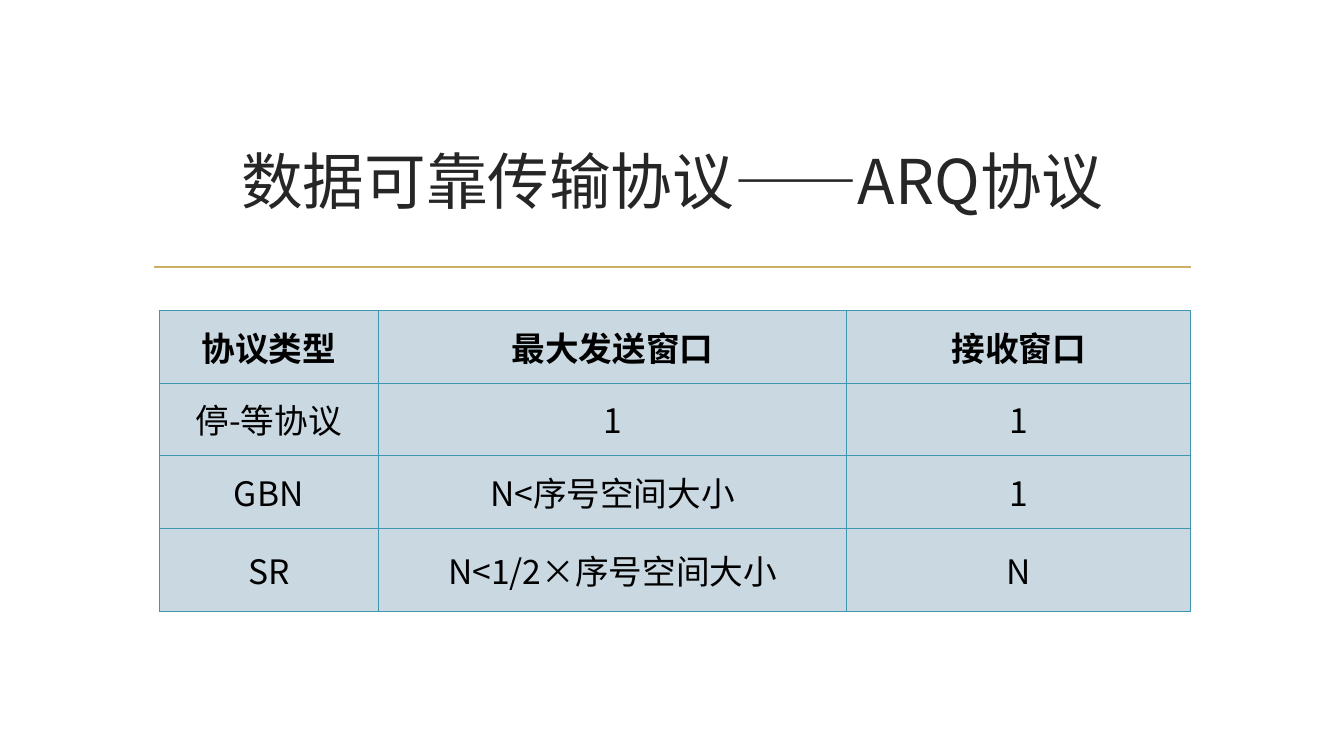
from lxml.etree import SubElement
from pptx import Presentation
from pptx.dml.color import RGBColor
from pptx.enum.shapes import MSO_CONNECTOR
from pptx.enum.text import MSO_ANCHOR, MSO_AUTO_SIZE, PP_ALIGN
from pptx.oxml.ns import qn
from pptx.util import Inches, Pt

TITLE = "数据可靠传输协议——ARQ协议"
PROTOCOLS = [
    ("协议类型", "最大发送窗口", "接收窗口"),
    ("停-等协议", "1", "1"),
    ("GBN", "N<序号空间大小", "1"),
    ("SR", "N<1/2×序号空间大小", "N"),
]
COLUMN_WIDTHS = (2.17, 4.65, 3.41)
ROW_HEIGHTS = (0.72, 0.72, 0.72, 0.83)

FONT = "Noto Sans CJK SC"
TITLE_COLOR = RGBColor(0x26, 0x26, 0x26)
TEXT_COLOR = RGBColor(0x00, 0x00, 0x00)
RULE_COLOR = RGBColor(0xCB, 0xAF, 0x62)
BORDER_COLOR = RGBColor(0x40, 0x96, 0xB0)
CELL_COLOR = RGBColor(0xC9, 0xD8, 0xE1)


def write_text(text_frame, text, size, color, bold=False):
    """Write one centred line of text in the slide font."""
    text_frame.vertical_anchor = MSO_ANCHOR.MIDDLE
    paragraph = text_frame.paragraphs[0]
    paragraph.alignment = PP_ALIGN.CENTER
    run = paragraph.add_run()
    run.text = text
    run.font.size = Pt(size)
    run.font.bold = bold
    run.font.color.rgb = color
    run.font.name = FONT
    SubElement(run.font._element, qn("a:ea"), typeface=FONT)


def add_borders(cell, color, width):
    """Draw a solid line on all four sides of a table cell."""
    properties = cell._tc.get_or_add_tcPr()
    for side in ("a:lnL", "a:lnR", "a:lnT", "a:lnB"):
        line = SubElement(properties, qn(side), w=str(Pt(width)))
        fill = SubElement(line, qn("a:solidFill"))
        SubElement(fill, qn("a:srgbClr"), val=str(color))


def add_title(slide):
    """Place the title and the rule below it."""
    title = slide.shapes.title
    title.left, title.top = Inches(1.42), Inches(1.07)
    title.width, title.height = Inches(10.5), Inches(1.43)
    title.text_frame.word_wrap = True
    title.text_frame.auto_size = MSO_AUTO_SIZE.NONE
    write_text(title.text_frame, TITLE, 44, TITLE_COLOR)
    rule = slide.shapes.add_connector(
        MSO_CONNECTOR.STRAIGHT, Inches(1.53), Inches(2.65), Inches(11.81), Inches(2.65)
    )
    rule.line.color.rgb = RULE_COLOR
    rule.line.width = Pt(1.25)
    SubElement(rule._element.spPr, qn("a:effectLst"))


def add_protocol_table(slide):
    """Add the table that compares the window sizes."""
    table = slide.shapes.add_table(
        len(ROW_HEIGHTS), len(COLUMN_WIDTHS), Inches(1.58), Inches(3.08),
        Inches(sum(COLUMN_WIDTHS)), Inches(sum(ROW_HEIGHTS)),
    ).table
    table.horz_banding = False
    for column, width in zip(table.columns, COLUMN_WIDTHS):
        column.width = Inches(width)
    for row_index, (row, height) in enumerate(zip(table.rows, ROW_HEIGHTS)):
        row.height = Inches(height)
        for cell, text in zip(row.cells, PROTOCOLS[row_index]):
            add_borders(cell, BORDER_COLOR, 0.75)
            cell.fill.solid()
            cell.fill.fore_color.rgb = CELL_COLOR
            cell.vertical_anchor = MSO_ANCHOR.MIDDLE
            write_text(cell.text_frame, text, 24, TEXT_COLOR, bold=row_index == 0)


def main():
    """Build the slide and save it."""
    presentation = Presentation()
    presentation.slide_width = Inches(13.33)
    presentation.slide_height = Inches(7.5)
    slide = presentation.slides.add_slide(presentation.slide_layouts[5])
    add_title(slide)
    add_protocol_table(slide)
    presentation.save("out.pptx")


if __name__ == "__main__":
    main()
